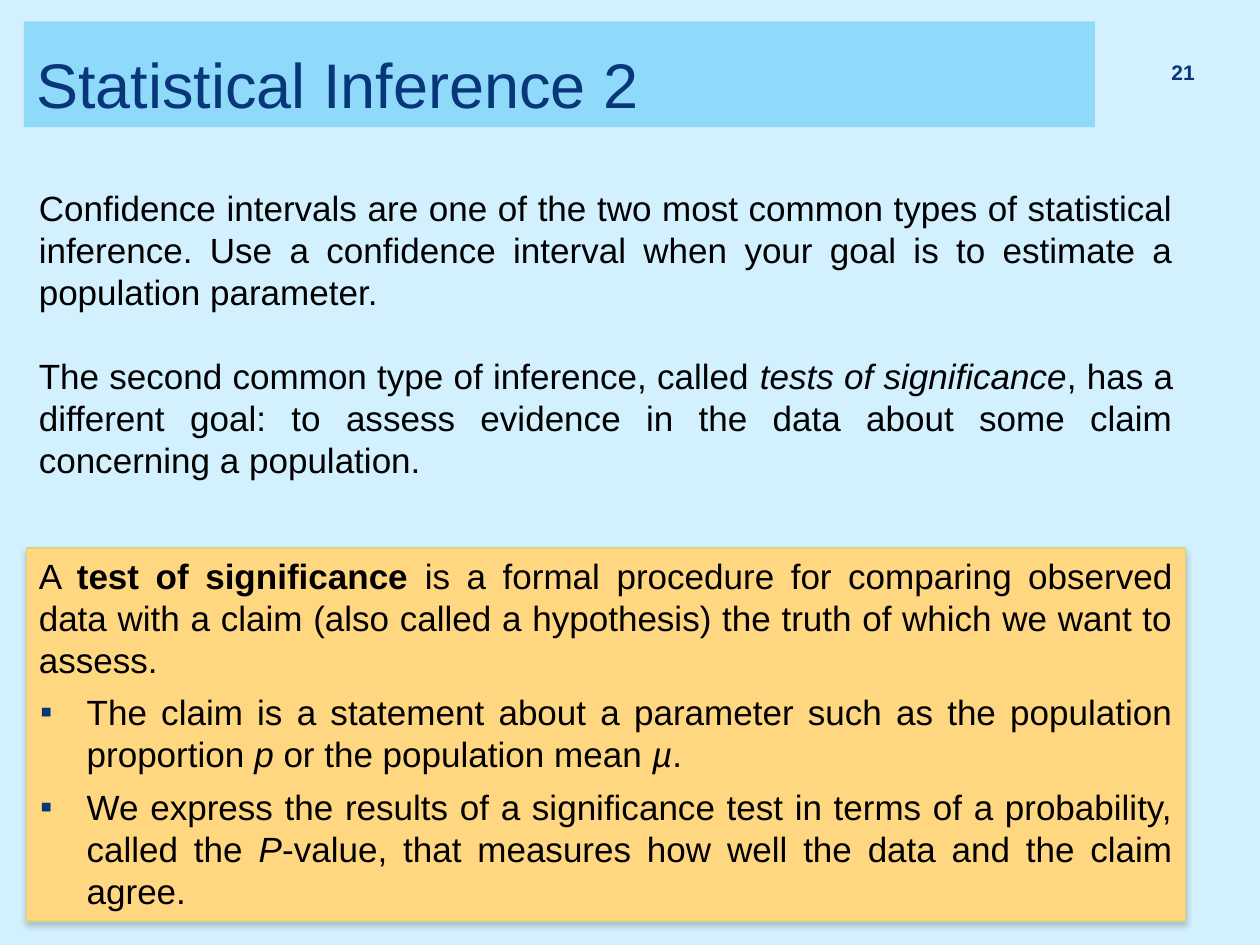
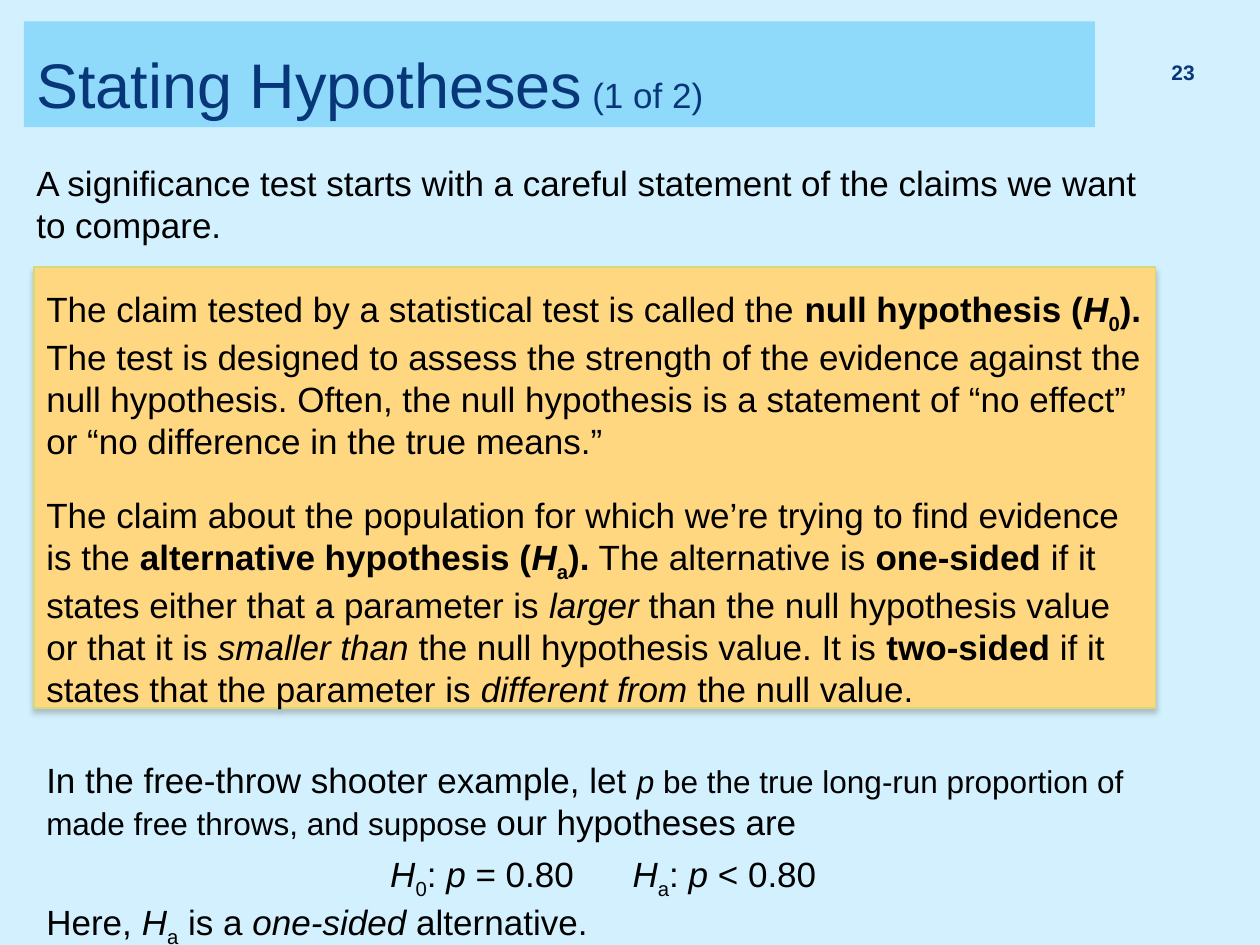
import pptx
import pptx.dml.color
import pptx.enum.shapes
import pptx.enum.text
import pptx.oxml.ns
import pptx.util
from dataclasses import dataclass
from lxml import etree

Pt = pptx.util.Pt
ALIGN = pptx.enum.text.PP_ALIGN
ANCHOR = pptx.enum.text.MSO_ANCHOR
RECT = pptx.enum.shapes.MSO_SHAPE.RECTANGLE

COLORS = {
    "background": "D2F0FD",
    "band": "8FD9FB",
    "navy": "073779",
    "text": "000000",
    "box": "FFD780",
    "box_line": "D2DA7A",
    "shadow": "808080",
}


def rgb(name):
    return pptx.dml.color.RGBColor.from_string(COLORS[name])


def add_xml(parent, tag, **attrs):
    return etree.SubElement(parent, pptx.oxml.ns.qn(tag), {k: str(v) for k, v in attrs.items()})


@dataclass
class Para:
    """Runs are plain strings or (text, flags): b bold, i italic, _ subscript."""
    runs: list
    align: ALIGN = ALIGN.LEFT
    before: float = 0
    after: float = 0
    line: float = 1.0
    bullet: bool = False
    tabs: tuple = ()


class Deck:
    FONT = "Arial"
    BODY = 20
    SMALL = 18

    def __init__(self):
        self.prs = pptx.Presentation()
        self.prs.slide_width, self.prs.slide_height = Pt(720), Pt(540)
        self.slide = None

    def new_slide(self, title, number):
        self.slide = self.prs.slides.add_slide(self.prs.slide_layouts[6])
        fill = self.slide.background.fill
        fill.solid()
        fill.fore_color.rgb = rgb("background")
        band = self.rect(13.7, 12.2, 612, 60.5, "band")
        self.fill_text(band, [Para(title)], size=36, color="navy", anchor=ANCHOR.BOTTOM)
        self.text(650.2, 28.1, 39.6, 28.8, [Para([(number, "b")], ALIGN.RIGHT, line=0.8)],
                  size=12, color="navy", anchor=ANCHOR.MIDDLE)

    def rect(self, x, y, w, h, color):
        sp = self.slide.shapes.add_shape(RECT, Pt(x), Pt(y), Pt(w), Pt(h))
        sp.shadow.inherit = False
        sp.fill.solid()
        sp.fill.fore_color.rgb = rgb(color)
        sp.line.fill.background()
        return sp

    def callout(self, x, y, w, h, paras, top=3.6):
        """Bordered box with a soft shadow below it."""
        sp = self.rect(x, y, w, h, "box")
        sp.line.color.rgb = rgb("box_line")
        sp.line.width = Pt(0.79)
        effects = sp._element.spPr.find(pptx.oxml.ns.qn("a:effectLst"))
        shadow = add_xml(effects, "a:outerShdw", blurRad=Pt(3), dist=Pt(2.4),
                         dir=90 * 60000, rotWithShape=0)
        color = add_xml(shadow, "a:srgbClr", val=COLORS["shadow"])
        add_xml(color, "a:alpha", val=45000)
        self.fill_text(sp, paras)
        sp.text_frame.margin_top = Pt(top)

    def text(self, x, y, w, h, paras, **style):
        sp = self.slide.shapes.add_textbox(Pt(x), Pt(y), Pt(w), Pt(h))
        self.fill_text(sp, paras, **style)

    def fill_text(self, sp, paras, size=BODY, color="text", anchor=ANCHOR.TOP):
        tf = sp.text_frame
        tf.word_wrap = True
        tf.vertical_anchor = anchor
        for n, para in enumerate(paras):
            p = tf.add_paragraph() if n else tf.paragraphs[0]
            self.format_paragraph(p, para)
            for run in para.runs:
                text, flags = (run, "") if isinstance(run, str) else run
                self.add_run(p, text, flags, size, color)

    def format_paragraph(self, p, para):
        pPr = p._p.get_or_add_pPr()
        if para.bullet:
            pPr.set("marL", str(Pt(27.36)))
            pPr.set("indent", str(Pt(-26.64)))
            add_xml(add_xml(pPr, "a:buClr"), "a:srgbClr", val=COLORS["navy"])
            add_xml(pPr, "a:buFont", typeface=self.FONT)
            add_xml(pPr, "a:buChar", char="▪")
        if para.tabs:
            tabs = add_xml(pPr, "a:tabLst")
            for pos in para.tabs:
                add_xml(tabs, "a:tab", pos=Pt(pos), algn="l")
        p.alignment = para.align
        p.line_spacing = para.line
        p.space_before = Pt(para.before)
        p.space_after = Pt(para.after)

    def add_run(self, p, text, flags, size, color):
        """Flag s sets the small size, t the body size."""
        r = p.add_run()
        r.text = text
        font = r.font
        font.name = self.FONT
        font.size = Pt(self.SMALL if "s" in flags else self.BODY if "t" in flags else size)
        font.color.rgb = rgb(color)
        font.bold = "b" in flags
        font.italic = "i" in flags
        if "_" in flags:
            r._r.get_or_add_rPr().set("baseline", "-25000")


def hypothesis(index, flags=""):
    return [("H", flags + "i"), (index, flags + "_")]


def inference_slide(deck):
    deck.new_slide(["Statistical Inference 2"], "21")
    deck.text(15.1, 103, 662.4, 175.7, [
        Para(["Confidence intervals are one of the two most common types of statistical inference. "
              "Use a confidence interval when your goal is to estimate a population parameter."],
             ALIGN.JUSTIFY),
        Para(["The second common type of inference, called ", ("tests of significance", "i"),
              ", has a different goal: to assess evidence in the data about some claim "
              "concerning a population."], ALIGN.JUSTIFY, before=24),
    ])
    deck.callout(15.1, 313.2, 662.4, 213.1, [
        Para(["A ", ("test of significance ", "b"),
              "is a formal procedure for comparing observed data with a claim (also called "
              "a hypothesis) the truth of which we want to assess."], ALIGN.JUSTIFY),
        Para(["The claim is a statement about a parameter such as the population proportion ",
              ("p", "i"), " or the population mean ", ("µ", "i"), "."],
             ALIGN.JUSTIFY, before=6, bullet=True),
        Para(["We express the results of a significance test in terms of a probability, "
              "called the ", ("P", "i"),
              "-value, that measures how well the data and the claim agree."],
             ALIGN.JUSTIFY, before=6, bullet=True),
    ])


def hypotheses_slide(deck):
    deck.new_slide(["Stating Hypotheses", (" (1 of 2)", "t")], "23")
    deck.text(13.7, 88.6, 652.3, 55.4, [
        Para(["A significance test starts with a careful statement of the claims we want "
              "to compare."]),
    ])
    deck.callout(19.4, 152.6, 640.8, 252, [
        Para(["The claim tested by a statistical test is called the ",
              ("null hypothesis (", "b"), *hypothesis("0", "b"), (").", "b"),
              " The test is designed to assess the strength of the evidence against the null "
              "hypothesis. Often, the null hypothesis is a statement of “no effect” or "
              "“no difference in the true means.”"], after=18),
        Para(["The claim about the population for which we’re trying to find evidence is the ",
              ("alternative hypothesis (", "b"), *hypothesis("a", "b"), (").", "b"),
              " The alternative is ", ("one-sided", "b"),
              " if it states either that a parameter is ", ("larger ", "i"),
              "than the null hypothesis value or that it is ", ("smaller than", "i"),
              " the null hypothesis value. It is ", ("two-sided", "b"),
              " if it states that the parameter is ", ("different from", "i"),
              " the null value."]),
    ], top=12)
    deck.text(19.4, 429.8, 652.3, 110.2, [
        Para(["In the free-throw shooter example, let ", ("p", "si"),
              (" be the true long-run proportion of made free throws, and suppose ", "s"),
              "our hypotheses are"], after=6),
        Para(["\t", *hypothesis("0"), ": ", ("p", "i"), " = 0.80\t",
              *hypothesis("a"), ": ", ("p", "i"), " < 0.80"], tabs=(196.5, 335)),
        Para(["Here, ", *hypothesis("a"), " is a ", ("one-sided ", "i"), "alternative."]),
    ])


def main():
    deck = Deck()
    inference_slide(deck)
    hypotheses_slide(deck)
    deck.prs.save("out.pptx")


if __name__ == "__main__":
    main()
